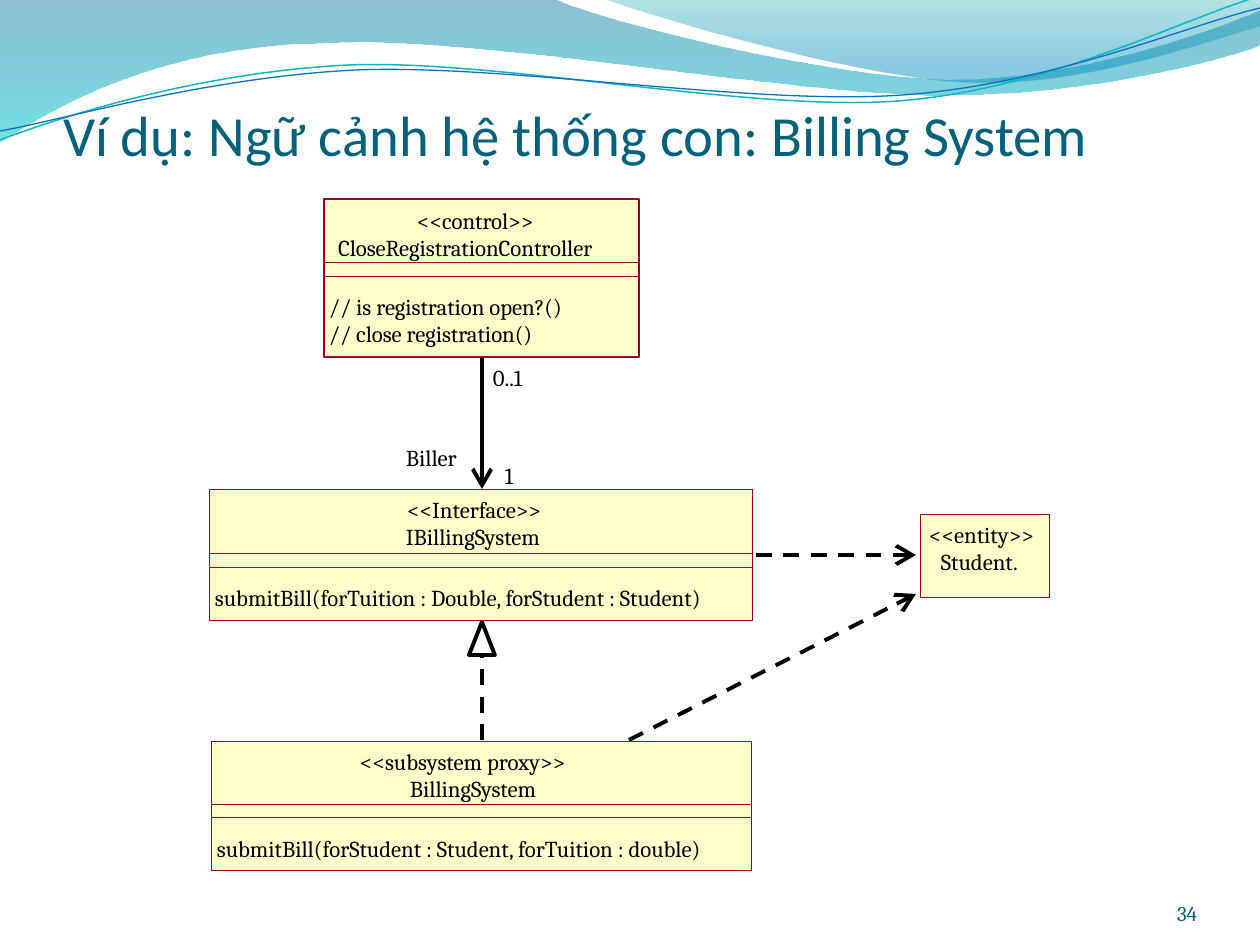
from dataclasses import dataclass

from lxml.etree import SubElement
from pptx import Presentation
from pptx.dml.color import RGBColor
from pptx.enum.dml import MSO_LINE
from pptx.enum.shapes import MSO_CONNECTOR, MSO_SHAPE
from pptx.enum.text import MSO_ANCHOR, MSO_AUTO_SIZE, PP_ALIGN
from pptx.oxml.ns import qn
from pptx.util import Emu, Pt


@dataclass(frozen=True)
class Theme:
    title: RGBColor = RGBColor(0x04, 0x61, 0x7B)
    number: RGBColor = RGBColor(0x04, 0x5D, 0x75)
    ink: RGBColor = RGBColor(0, 0, 0)
    box: RGBColor = RGBColor(0xFF, 0xFF, 0xCC)
    border: RGBColor = RGBColor(0x99, 0x00, 0x33)
    title_font: str = "Calibri"
    body_font: str = "Cambria"
    title_size: Pt = Pt(32.4)
    label_size: Pt = Pt(13)
    number_size: Pt = Pt(12)
    arrow_width: Pt = Pt(2.25)
    hairline: Emu = Emu(1)


theme = Theme()
PX = 914400 / 126

prs = Presentation()
prs.slide_width, prs.slide_height = Emu(round(1260 * PX)), Emu(round(945 * PX))
slide = prs.slides.add_slide(prs.slide_layouts[5])
shapes = slide.shapes


def add_outline(start, segments, close):
    """Draw a path whose segments are line ends (x, y) or cubic curves (x1, y1, x2, y2, x, y)."""
    builder = shapes.build_freeform(*start, scale=PX)
    builder.add_line_segments([seg[-2:] for seg in segments], close=close)
    sp = builder.convert_to_shape()
    sp.shadow.inherit = False
    left = min(start[0], *(seg[-2] for seg in segments))
    top = min(start[1], *(seg[-1] for seg in segments))
    for node, seg in zip(list(sp._element.spPr.iter(qn("a:lnTo"))), segments):
        if len(seg) == 6:
            curve = SubElement(node.getparent(), qn("a:cubicBezTo"))
            node.getparent().replace(node, curve)
            for x, y in zip(seg[::2], seg[1::2]):
                SubElement(curve, qn("a:pt"), x=str(x - left), y=str(y - top))
    return sp


def add_label(x, y, w, h, text, size=theme.label_size, color=theme.ink):
    sp = shapes.add_textbox(*(round(v * PX) for v in (x, y, w, h)))
    tf = sp.text_frame
    tf.margin_left = tf.margin_right = tf.margin_top = tf.margin_bottom = 0
    tf.word_wrap = False
    tf.auto_size = MSO_AUTO_SIZE.SHAPE_TO_FIT_TEXT
    tf.text = text
    font = tf.paragraphs[0].runs[0].font
    font.name, font.size, font.color.rgb = theme.body_font, size, color
    return tf


# Header waves: start, segments, gradient stops (position, colour, opacity %)
waves = [
    ((-1, -1),
     [(554, -1), (600, 21, 837, 79, 955, 79), (1075, 79, 1207, 33, 1260, 11), (1261, 45),
      (1239, 55, 1096, 96, 940, 95), (784, 95, 481, 35, 324, 43), (163, 45, 58, 105, -1, 142)],
     [(0, "0074A1", 45), (1, "00C6CF", 55)]),
    ((604, -1),
     [(641, 14, 859, 78, 969, 82), (1080, 87, 1211, 40, 1260, 26), (1260, 0)],
     [(0, "00A1A9", 30), (0.8, "008BBF", 45)]),
]
for start, segments, stops in waves:
    sp = add_outline(start, segments, close=True)
    sp.line.fill.background()
    sp.fill.gradient()
    sp.fill.gradient_angle = 270
    for stop, (position, color, _) in zip(sp.fill.gradient_stops, stops):
        stop.position = position
        stop.color.rgb = RGBColor.from_string(color)
    for clr, (_, _, opacity) in zip(sp._element.spPr.iter(qn("a:srgbClr")), stops):
        SubElement(clr, qn("a:alpha"), val=str(opacity * 1000))

strands = [
    ((0, 140), [(60, 117, 199, 72, 349, 65), (498, 59, 747, 112, 898, 101),
                (1050, 89, 1182, 19, 1257, -3)], "0AB8BF", 0.85),
    ((0, 131), [(59, 121, 207, 77, 357, 70), (508, 64, 752, 106, 903, 95),
                (1053, 84, 1185, 26, 1260, 8)], "0F6FC6", 0.75),
]
for start, segments, color, width in strands:
    sp = add_outline(start, segments, close=False)
    sp.fill.background()
    sp.line.color.rgb = RGBColor.from_string(color)
    sp.line.width = Pt(width)

# Title and slide number
title = shapes.title
title.left, title.top, title.width, title.height = (round(v * PX) for v in (63, 97, 1134, 71))
tf = title.text_frame
tf.text = "Ví dụ: Ngữ cảnh hệ thống con: Billing System"
tf.margin_left = tf.margin_right = tf.margin_bottom = 0
tf.vertical_anchor = MSO_ANCHOR.BOTTOM
tf.auto_size = MSO_AUTO_SIZE.NONE
p = tf.paragraphs[0]
p.alignment = PP_ALIGN.LEFT
font = p.runs[0].font
font.name, font.size, font.color.rgb = theme.title_font, theme.title_size, theme.title

tf = add_label(1092, 876, 105, 50, "34", theme.number_size, theme.number)
tf.word_wrap, tf.auto_size = True, MSO_AUTO_SIZE.NONE
tf.vertical_anchor = MSO_ANCHOR.BOTTOM
tf.paragraphs[0].alignment = PP_ALIGN.RIGHT

# Relations: from, to, dashed, open arrowhead
relations = [
    (629, 740, 916, 594, True, True),
    (756, 555, 916, 555, True, True),
    (482, 357, 482, 489, False, True),
    (482, 740, 482, 655, True, False),
]
for x1, y1, x2, y2, dashed, arrow in relations:
    line = shapes.add_connector(MSO_CONNECTOR.STRAIGHT, *(round(v * PX) for v in (x1, y1, x2, y2)))
    line.line.color.rgb = theme.ink
    line.line.width = theme.arrow_width
    if dashed:
        line.line.dash_style = MSO_LINE.DASH
    if arrow:
        ln = line._element.spPr.find(qn("a:ln"))
        SubElement(ln, qn("a:tailEnd"), type="arrow", w="lg", len="lg")
    SubElement(line._element.spPr, qn("a:effectLst"))

head = shapes.add_shape(MSO_SHAPE.ISOSCELES_TRIANGLE, *(round(v * PX) for v in (469, 622, 26, 33)))
head.shadow.inherit = False
head.fill.background()
head.line.color.rgb = theme.ink
head.line.width = theme.arrow_width

# Classes: left, top, width, height, border width, tops of the lower compartments
classes = [
    (212, 741, 540, 130, theme.hairline, (804, 818)),
    (210, 489, 543, 132, theme.hairline, (553, 567)),
    (324, 199, 315, 158, Pt(1), (262, 276)),
    (921, 514, 129, 84, theme.hairline, ()),
]
for x, y, w, h, border, compartments in classes:
    for top in (y, *compartments):
        sp = shapes.add_shape(MSO_SHAPE.RECTANGLE, *(round(v * PX) for v in (x, top, w, y + h - top)))
        sp.shadow.inherit = False
        sp.line.color.rgb = theme.border
        sp.line.width = border if top == y else theme.hairline
        if top == y:
            sp.fill.solid()
            sp.fill.fore_color.rgb = theme.box
        else:
            sp.fill.background()

labels = [
    (417, 207, 123, "<<control>>"),
    (338, 234, 283, "CloseRegistrationController"),
    (329, 293, 244, "// is registration open?()"),
    (329, 320, 210, "// close registration()"),
    (493, 364, 39, "0..1"),
    (406, 444, 57, "Biller"),
    (505, 462, 13, "1"),
    (407, 496, 145, "<<Interface>>"),
    (406, 523, 145, "IBillingSystem"),
    (215, 584, 523, "submitBill(forTuition : Double, forStudent : Student)"),
    (360, 748, 228, "<<subsystem proxy>>"),
    (410, 775, 139, "BillingSystem"),
    (217, 835, 519, "submitBill(forStudent : Student, forTuition : double)"),
    (929, 521, 110, "<<entity>>"),
    (941, 548, 87, "Student."),
]
for x, y, w, text in labels:
    add_label(x, y, w, 26, text)

prs.save("out.pptx")
